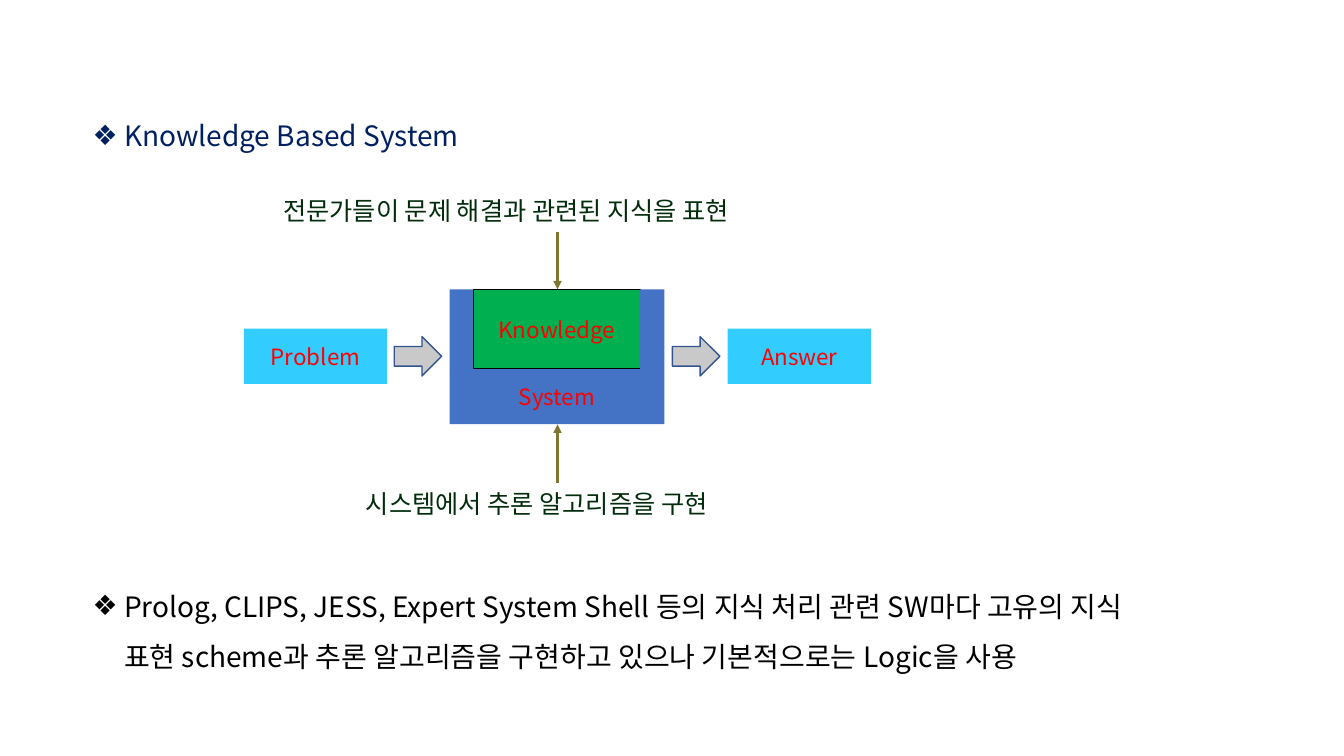
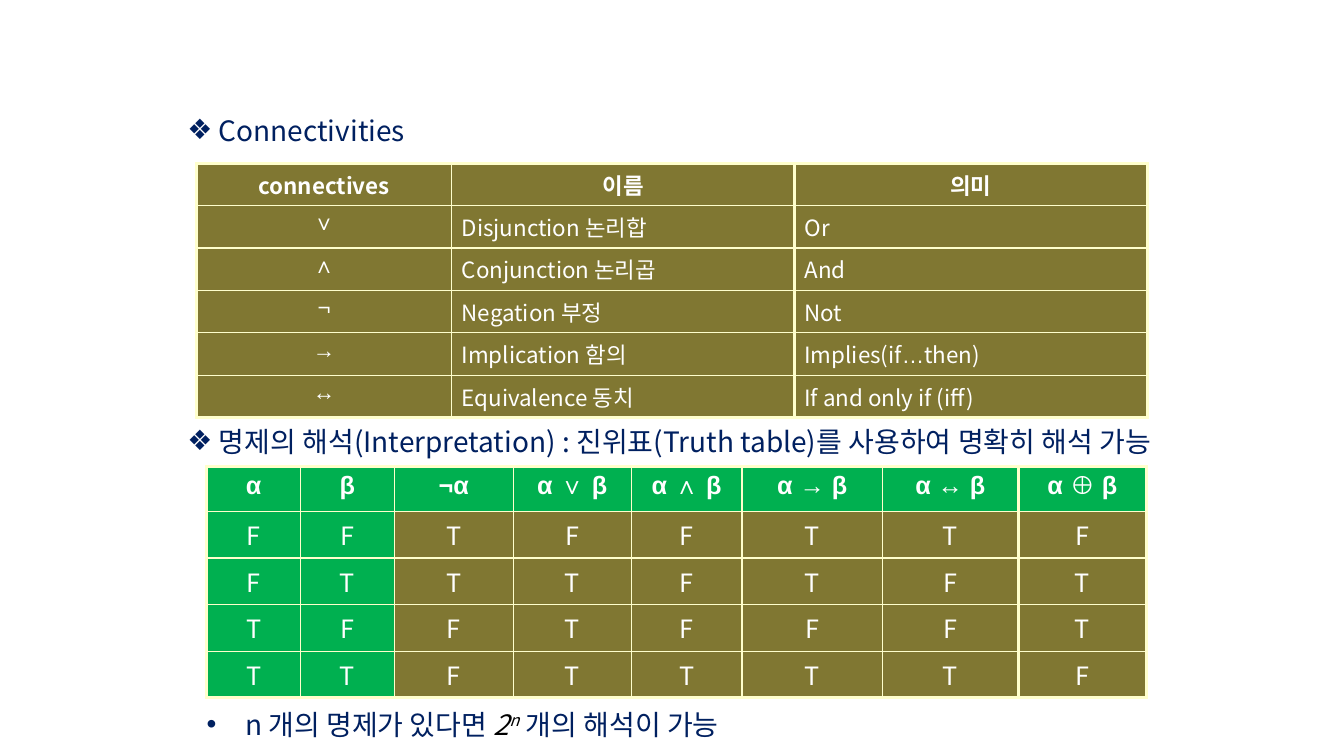
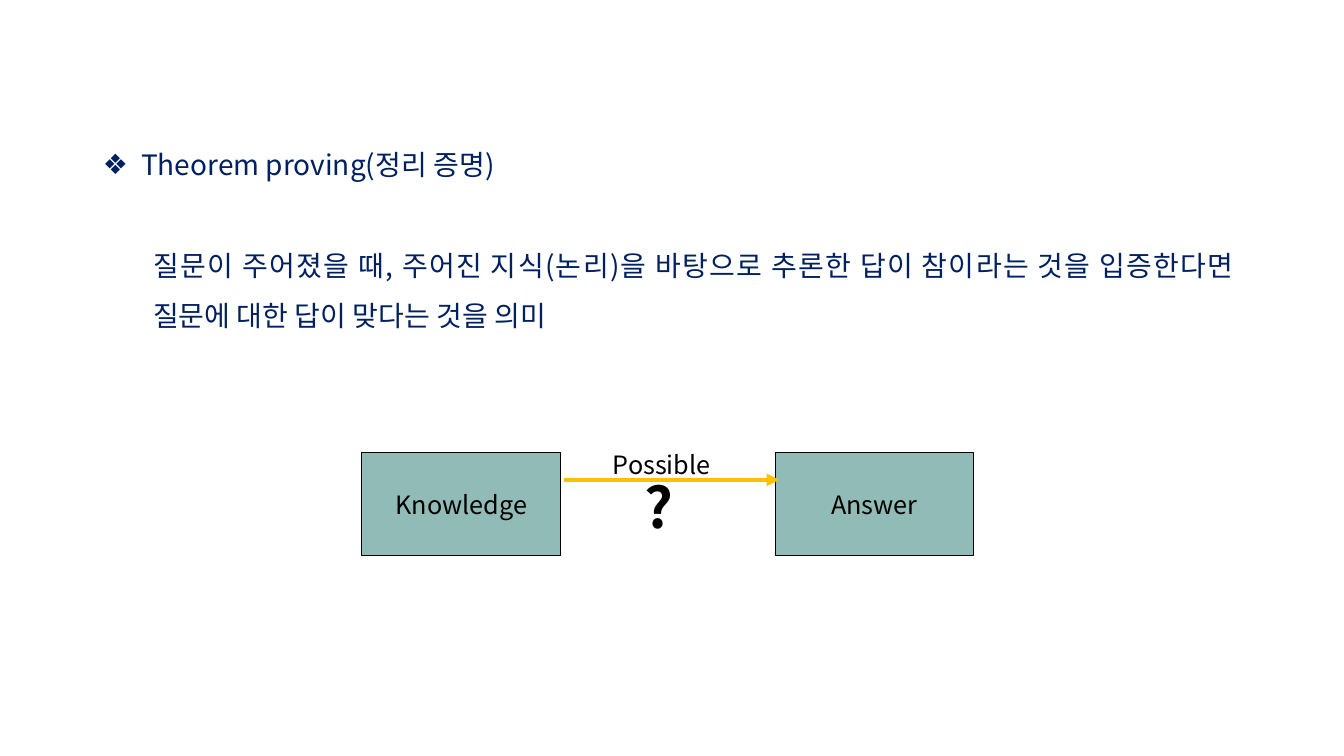
"""Build three slides on knowledge based systems, logical connectives and theorem proving."""
from itertools import groupby, product

from lxml import etree
from pptx import Presentation
from pptx.dml.color import RGBColor
from pptx.enum.shapes import MSO_CONNECTOR, MSO_SHAPE
from pptx.enum.text import MSO_ANCHOR, MSO_AUTO_SIZE, PP_ALIGN
from pptx.oxml.ns import qn
from pptx.util import Inches, Pt

RECT, BLOCK_ARROW = MSO_SHAPE.RECTANGLE, MSO_SHAPE.RIGHT_ARROW
STRAIGHT = MSO_CONNECTOR.STRAIGHT
LEFT, CENTER, JUSTIFY = PP_ALIGN.LEFT, PP_ALIGN.CENTER, PP_ALIGN.JUSTIFY
MIDDLE = MSO_ANCHOR.MIDDLE
GROW = MSO_AUTO_SIZE.SHAPE_TO_FIT_TEXT

SANS, ARIAL = "Noto Sans CJK KR", "Arial"
NAVY, BLACK, WHITE, RED, FOREST = "002060", "000000", "FFFFFF", "FF0000", "022C0C"
BLUE, GREEN, CYAN, GRAY, STEEL = "4472C4", "00B050", "33CCFF", "C9C9C9", "325491"
OLIVE, KHAKI, CREAM, TEAL, AMBER = "807732", "7F762F", "FFFFCC", "91BBB6", "FFC000"
SYMBOLS = "∨∧¬→↔…"
rgb = RGBColor.from_string

prs = Presentation()
prs.slide_width, prs.slide_height = Inches(13.33), Inches(7.5)
COL, ROW = prs.slide_width / 100, prs.slide_height / 100
system, logic, proof = [prs.slides.add_slide(prs.slide_layouts[6]) for _ in range(3)]


def write(p, text, size=20, color=NAVY, font=SANS, bold=False, italic=False, raised=0):
    for i, part in enumerate(text.split("\n")):
        if i:
            p.add_line_break()
        r = p.add_run()
        r.text = part
        r.font.size, r.font.bold, r.font.italic = Pt(size), bold, italic
        r.font.color.rgb = rgb(color)
        r.font.name = font
        rPr = r._r.get_or_add_rPr()
        etree.SubElement(rPr, qn("a:ea"), typeface=font)
        if raised:
            rPr.set("baseline", str(raised * 1000))


def text_frame(s, x, y, w, h):
    tf = s.shapes.add_textbox(int(x * COL), int(y * ROW), int(w * COL), int(h * ROW)).text_frame
    tf.word_wrap, tf.auto_size = True, GROW
    tf.margin_left = tf.margin_top = tf.margin_right = tf.margin_bottom = 0
    return tf


connectives = [
    ["connectives", "이름", "의미"],
    ["∨", "Disjunction 논리합", "Or"],
    ["∧", "Conjunction 논리곱", "And"],
    ["¬", "Negation 부정", "Not"],
    ["→", "Implication 함의", "Implies(if…then)"],
    ["↔", "Equivalence 동치", "If and only if (iff)"],
]
truth = [["α", "β", "¬α", "α ∨ β", "α ∧ β", "α → β", "α ↔ β", "α ⊕ β"]]
for a, b in product((False, True), repeat=2):
    truth.append(["FT"[v] for v in (a, b, not a, a or b, a and b, not a or b, a == b, a != b)])

# rows, left, top, column widths, row height, text size, header font, header fill, centred and key columns
tables = [
    (connectives, 14.63, 21.6, (18.98, 25.5, 26.25), 4.89, 16, SANS, OLIVE, 1, 0),
    (truth, 15.38, 61.73, (6.98, 6.98, 8.85, 8.78, 8.25, 10.43, 10.13, 9.53), 5.92,
     18, ARIAL, GREEN, 8, 2),
]
for rows, x, y, widths, height, size, head_font, head_fill, centred, keys in tables:
    last_row, last_col = len(rows) - 1, len(widths) - 1
    table = logic.shapes.add_table(len(rows), len(widths), int(x * COL), int(y * ROW),
                                   int(sum(widths) * COL), int(len(rows) * height * ROW)).table
    table.first_row = table.horz_banding = False
    for c, width in enumerate(widths):
        table.columns[c].width = int(width * COL)
    for i, j in product(range(len(rows)), range(len(widths))):
        cell, head = table.cell(i, j), i == 0
        p = cell.text_frame.paragraphs[0]
        p.alignment = CENTER if head or j < centred else LEFT
        for is_symbol, chars in groupby(rows[i][j], lambda ch: not head and ch in SYMBOLS):
            font = ARIAL if is_symbol else head_font if head else SANS
            write(p, "".join(chars), size=size, color=WHITE, font=font, bold=head)
        tcPr = cell._tc.get_or_add_tcPr()
        thick = {"L": j in (0, last_col), "R": j >= last_col - 1, "T": head, "B": i == last_row}
        for side, is_thick in thick.items():
            ln = etree.SubElement(tcPr, qn(f"a:ln{side}"), w=str(Pt(2.25 if is_thick else 1)))
            etree.SubElement(etree.SubElement(ln, qn("a:solidFill")), qn("a:srgbClr"), val=CREAM)
        cell.fill.solid()
        cell.fill.fore_color.rgb = rgb(head_fill if head else GREEN if j < keys else OLIVE)

boxes = [
    (system, RECT, 33.45, 48.8, 15.98, 7.33, BLUE, None, 0, "System", 16, RED),
    (system, RECT, 35.25, 38.27, 12.38, 10.53, GREEN, BLACK, 0.75, "Knowledge", 16, RED),
    (system, RECT, 33.45, 38.27, 1.75, 10.53, BLUE, None, 0, "", 16, RED),
    (system, RECT, 47.63, 38.27, 1.8, 10.53, BLUE, None, 0, "", 16, RED),
    (system, RECT, 18.15, 43.47, 10.65, 7.33, CYAN, None, 0, "Problem", 16, RED),
    (system, BLOCK_ARROW, 29.33, 44.53, 3.53, 5.2, GRAY, STEEL, 1, "", 16, RED),
    (system, RECT, 54.15, 43.47, 10.65, 7.33, CYAN, None, 0, "Answer", 16, RED),
    (system, BLOCK_ARROW, 50.03, 44.53, 3.53, 5.2, GRAY, STEEL, 1, "", 16, RED),
    (proof, RECT, 26.93, 59.87, 14.78, 13.6, TEAL, BLACK, 0.75, "Knowledge", 18, BLACK),
    (proof, RECT, 57.68, 59.87, 14.78, 13.6, TEAL, BLACK, 0.75, "Answer", 18, BLACK),
]
for s, kind, x, y, w, h, fill, line, weight, text, size, color in boxes:
    sp = s.shapes.add_shape(kind, int(x * COL), int(y * ROW), int(w * COL), int(h * ROW))
    sp.shadow.inherit = False
    sp.fill.solid()
    sp.fill.fore_color.rgb = rgb(fill)
    if line:
        sp.line.color.rgb, sp.line.width = rgb(line), Pt(weight)
    else:
        sp.line.fill.background()
    if text:
        tf = sp.text_frame
        tf.word_wrap, tf.vertical_anchor = False, MIDDLE
        tf.paragraphs[0].alignment = CENTER
        write(tf.paragraphs[0], text, size=size, color=color)

arrows = [
    (system, 41.48, 30.67, 41.48, 38.27, KHAKI, 2),
    (system, 41.48, 63.87, 41.48, 56.13, KHAKI, 2),
    (proof, 42, 63.47, 57.98, 63.47, AMBER, 3),
]
for s, x1, y1, x2, y2, color, weight in arrows:
    cn = s.shapes.add_connector(STRAIGHT, int(x1 * COL), int(y1 * ROW), int(x2 * COL), int(y2 * ROW))
    cn.line.color.rgb, cn.line.width = rgb(color), Pt(weight)
    etree.SubElement(cn.line._get_or_add_ln(), qn("a:tailEnd"), type="triangle")
    etree.SubElement(cn._element.spPr, qn("a:effectLst"))

labels = [
    (system, 21.08, 25.87, 40.72, 4, "전문가들이 문제 해결과 관련된 지식을 표현", 18, FOREST, False),
    (system, 27.23, 64.53, 29.25, 4, "시스템에서 추론 알고리즘을 구현", 18, FOREST, False),
    (proof, 45.6, 59.47, 9, 4, "Possible", 18, BLACK, False),
    (proof, 47.93, 62.53, 3.75, 9, "?", 40, BLACK, True),
]
for s, x, y, w, h, text, size, color, bold in labels:
    write(text_frame(s, x, y, w, h).paragraphs[0], text, size=size, color=color, bold=bold)

# slide, left, top, width, height, alignment, paragraphs of (bullet, indent, hang, space before, runs)
outlines = [
    (system, 6.9, 13.47, 79.73, 5.87, JUSTIFY,
     [("❖", 2.33, 2.33, 0, [("Knowledge Based System", {})])]),
    (system, 6.9, 75.73, 82.58, 12.53, LEFT,
     [("❖", 2.33, 2.33, 0, [("Prolog, CLIPS, JESS, Expert System Shell 등의 지식 처리 관련 SW마다 고유의 지식\n"
                             "표현 scheme과 추론 알고리즘을 구현하고 있으나 기본적으로는 Logic을 사용",
                             {"color": BLACK})])]),
    (logic, 13.95, 12.8, 60, 5.87, JUSTIFY,
     [("❖", 2.33, 2.33, 0, [("Connectivities", {})])]),
    (logic, 13.95, 53.87, 78.9, 5.87, JUSTIFY,
     [("❖", 2.33, 2.33, 0,
       [("명제의 해석(Interpretation) : 진위표(Truth table)를 사용하여 명확히 해석 가능", {})])]),
    (logic, 11.63, 91.33, 60, 5.87, JUSTIFY,
     [("•", 6.6, 2.85, 0, [("n 개의 명제가 있다면 ", {}),
                           ("2", {"color": BLACK, "italic": True}),
                           ("n", {"color": BLACK, "italic": True, "raised": 30}),
                           (" 개의 해석이 가능", {})])]),
    (proof, 7.65, 17.33, 84.15, 26.13, JUSTIFY,
     [("❖", 2.85, 2.85, 0, [("Theorem proving(정리 증명)", {})]),
      (None, 3.75, 0, 36, [("질문이 주어졌을 때, 주어진 지식(논리)을 바탕으로 추론한 답이 참이라는 것을 "
                            "입증한다면 질문에 대한 답이 맞다는 것을 의미", {})])]),
]
for s, x, y, w, h, alignment, paragraphs in outlines:
    tf = text_frame(s, x, y, w, h)
    for i, (bullet, indent, hang, before, runs) in enumerate(paragraphs):
        p = tf.add_paragraph() if i else tf.paragraphs[0]
        p.alignment, p.line_spacing, p.space_before = alignment, 1.5, Pt(before)
        pPr = p._p.get_or_add_pPr()
        pPr.set("marL", str(int(indent * COL)))
        pPr.set("indent", str(int(-hang * COL)))
        if bullet:
            etree.SubElement(pPr, qn("a:buFont"), typeface=ARIAL)
            etree.SubElement(pPr, qn("a:buChar"), char=bullet)
        for text, look in runs:
            write(p, text, **look)

prs.save("out.pptx")
